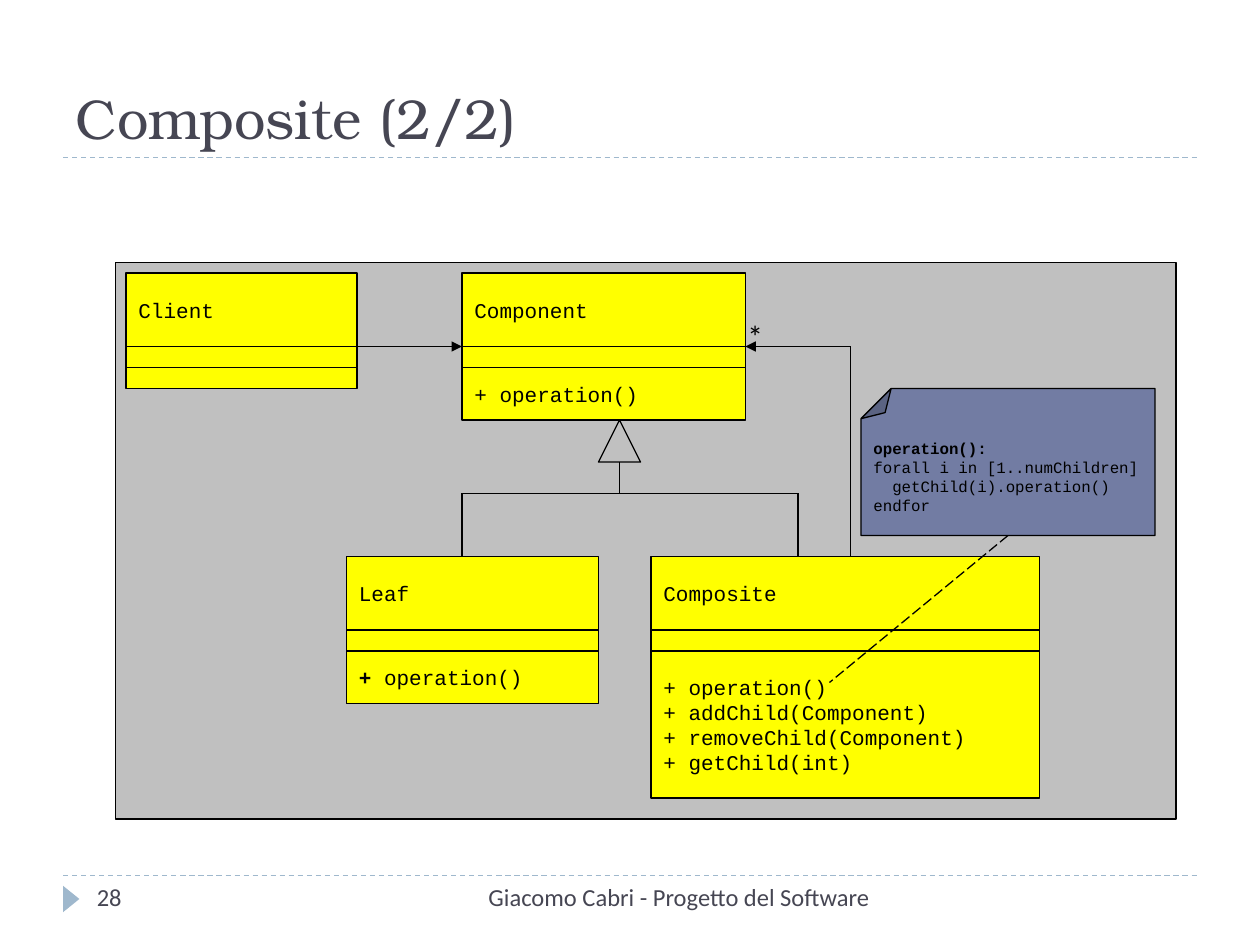
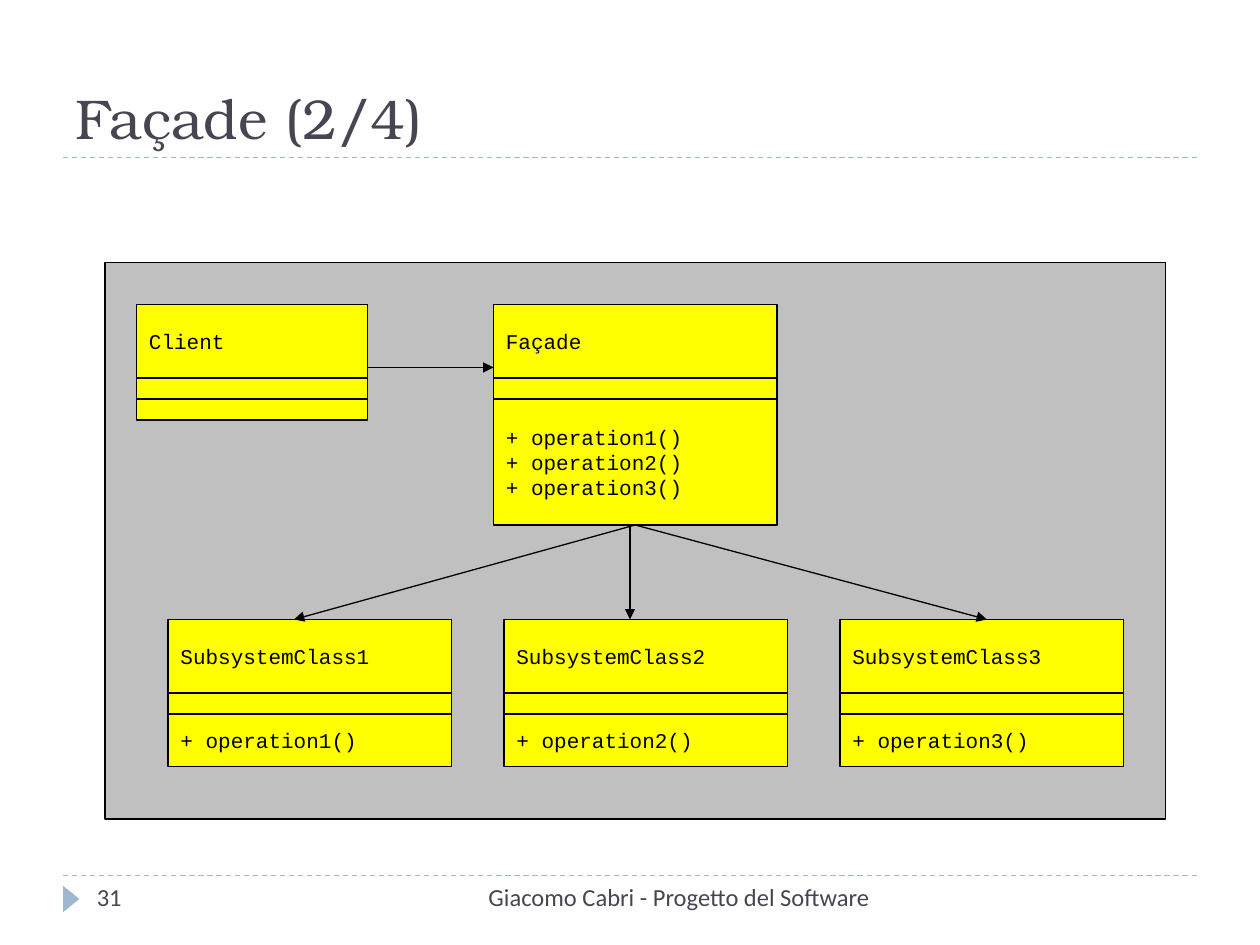
from pptx import Presentation
from pptx.util import Inches, Pt
from pptx.dml.color import RGBColor
from pptx.enum import dml, shapes as sh, text as tx
from pptx.oxml.ns import qn
from lxml import etree

# Shared look
INK, RULE, PANEL = "464653", "9FB8CD", "C0C0C0"
BLACK, YELLOW, NOTE = "000000", "FFFF00", "727CA3"
SERIF, SANS, MONO = "TeX Gyre Bonum", "Calibri", "Courier New"
FOOT = "Giacomo Cabri - Progetto del Software"
HEAD, ATTR = 7, 2  # heights of the class compartments

# Diagrams lie on a grid of 1/12 inch.
# class: left, top, width, name, height of operations, operations
# line: x1, y1, x2, y2, style; a pair of texts is (bold, plain)
SLIDES = [
    dict(
        title="Composite (2/2)", page="28", panel=(11, 25, 101, 53),
        classes=[
            (33, 53, 24, "Leaf", 5, [("+ ", "operation()")]),
            (44, 26, 27, "Component", 5, ["+ operation()"]),
            (62, 53, 37, "Composite", 14,
             ["+ operation()", "+ addChild(Component)",
              "+ removeChild(Component)", "+ getChild(int)"]),
            (12, 26, 22, "Client", 2, []),
        ],
        inherit=(57, 40, 4, 4),
        note=((82, 37, 28, 14),
              [("operation():", ""), "forall i in [1..numChildren]",
               "getChild(i).operation()", "endfor"]),
        star=(70, 30, 4, 4),
        lines=[
            (44, 47, 76, 47, ""), (76, 53, 76, 47, ""),
            (59, 47, 59, 44, ""), (44, 53, 44, 47, ""),
            (96, 51, 79, 65, "dash"), (34, 33, 44, 33, "arrow"),
            (81, 33, 81, 53, ""), (81, 33, 71, 33, "arrow"),
        ]),
    dict(
        title="Façade (2/4)", page="31", panel=(10, 25, 101, 53),
        classes=[
            (47, 29, 27, "Façade", 12,
             [f"+ operation{n}()" for n in (1, 2, 3)]),
            (13, 29, 22, "Client", 2, []),
        ] + [(32 * n - 16, 59, 27, f"SubsystemClass{n}", 5,
              [f"+ operation{n}()"]) for n in (1, 2, 3)],
        lines=[
            (35, 35, 47, 35, "arrow"), (60.5, 50, 28, 59, "arrow"),
            (60, 50, 60, 59, "arrow"), (60.5, 50, 94, 59, "arrow"),
        ]),
]


# Helpers
def rgb(code):
    return RGBColor.from_string(code)


def grid(*cells):
    return [Inches(c / 12) for c in cells]


def inch(*sizes):
    return [Inches(s) for s in sizes]


def write(shape, lines, size, face, color=BLACK, wrap=False,
          anchor=tx.MSO_ANCHOR.MIDDLE, align=tx.PP_ALIGN.LEFT):
    body = shape.text_frame
    body.word_wrap, body.vertical_anchor = wrap, anchor
    for i, line in enumerate(lines):
        para = body.add_paragraph() if i else body.paragraphs[0]
        para.alignment = align
        font = para.font
        font.size, font.name, font.color.rgb = Pt(size), face, rgb(color)
        parts = ("", line) if isinstance(line, str) else line
        for part, bold in zip(parts, (True, False)):
            if part:
                run = para.add_run()
                run.text = part
                if bold:
                    run.font.bold = True
    return body


def shape(home, kind, box, fill=None, line=BLACK):
    item = home.add_shape(kind, *box)
    item.shadow.inherit = False
    if fill:
        item.fill.solid()
        item.fill.fore_color.rgb = rgb(fill)
    else:
        item.fill.background()
    if line:
        item.line.color.rgb, item.line.width = rgb(line), Pt(0.75)
    else:
        item.line.fill.background()
    return item


def link(home, ends, color=BLACK, dash=None, arrow=False):
    item = home.add_connector(sh.MSO_CONNECTOR.STRAIGHT, *ends)
    item.line.color.rgb, item.line.width = rgb(color), Pt(0.75)
    if dash:
        item.line.dash_style = dash
    props = item._element.spPr
    if arrow:
        etree.SubElement(props.find(qn("a:ln")), qn("a:tailEnd"),
                         type="triangle")
    etree.SubElement(props, qn("a:effectLst"))


def frame(slide, title, page):
    """Title, rules and footer of every slide."""
    home = slide.shapes
    for y in (6.95, 1.25):
        link(home, inch(0.5, y, 9.5, y), RULE, dml.MSO_LINE.DASH)
    mark = shape(home, sh.MSO_SHAPE.ISOSCELES_TRIANGLE,
                 inch(0.46, 7.07, 0.21, 0.13), RULE, None)
    mark.rotation = 90
    head = home.title
    head.left, head.top, head.width, head.height = inch(0.5, 0.25, 9, 1)
    write(head, [title], 32, SERIF, INK, True, tx.MSO_ANCHOR.BOTTOM)
    for box, words, align in (
            ((3.17, 6.95, 3.83, 0.4), FOOT, tx.PP_ALIGN.RIGHT),
            ((0.67, 6.95, 2.17, 0.4), page, tx.PP_ALIGN.LEFT)):
        write(home.add_textbox(*inch(*box)), [words], 14, SANS, INK, True,
              tx.MSO_ANCHOR.TOP, align)


def klass(home, x, y, width, name, depth, ops):
    """One UML class: name, attributes, operations."""
    group = home.add_group_shape().shapes
    for high, lines in ((HEAD, [name]), (ATTR, []), (depth, ops)):
        cell = shape(group, sh.MSO_SHAPE.RECTANGLE,
                     grid(x, y, width, high), YELLOW)
        write(cell, lines, 12, MONO)
        y += high


def memo(home, box, lines):
    """Note with its fold at top left: turned over, text turned back."""
    item = shape(home, sh.MSO_SHAPE.FOLDED_CORNER, grid(*box), NOTE)
    fold = item._element.spPr.find(qn("a:prstGeom")).get_or_add_avLst()
    etree.SubElement(fold, qn("a:gd"), name="adj", fmla="val 20500")
    item.rotation = 180
    body = write(item, lines, 9, MONO)
    item._element.txBody.bodyPr.set("rot", "10800000")
    inner = body.paragraphs[2]._p.get_or_add_pPr()
    inner.set("marL", str(Inches(0.15)))


# Build
deck = Presentation()
deck.slide_width, deck.slide_height = inch(10, 7.5)
for data in SLIDES:
    slide = deck.slides.add_slide(deck.slide_layouts[5])
    home = slide.shapes
    frame(slide, data["title"], data["page"])
    shape(home, sh.MSO_SHAPE.RECTANGLE, grid(*data["panel"]), PANEL)
    for item in data["classes"]:
        klass(home, *item)
    if "inherit" in data:
        shape(home, sh.MSO_SHAPE.ISOSCELES_TRIANGLE, grid(*data["inherit"]))
    if "note" in data:
        memo(home, *data["note"])
    for *ends, style in data["lines"]:
        dash = dml.MSO_LINE.LONG_DASH if style == "dash" else None
        link(home, grid(*ends), dash=dash, arrow=style == "arrow")
    if "star" in data:
        write(home.add_textbox(*grid(*data["star"])), ["*"], 18, SANS)
deck.save("out.pptx")
